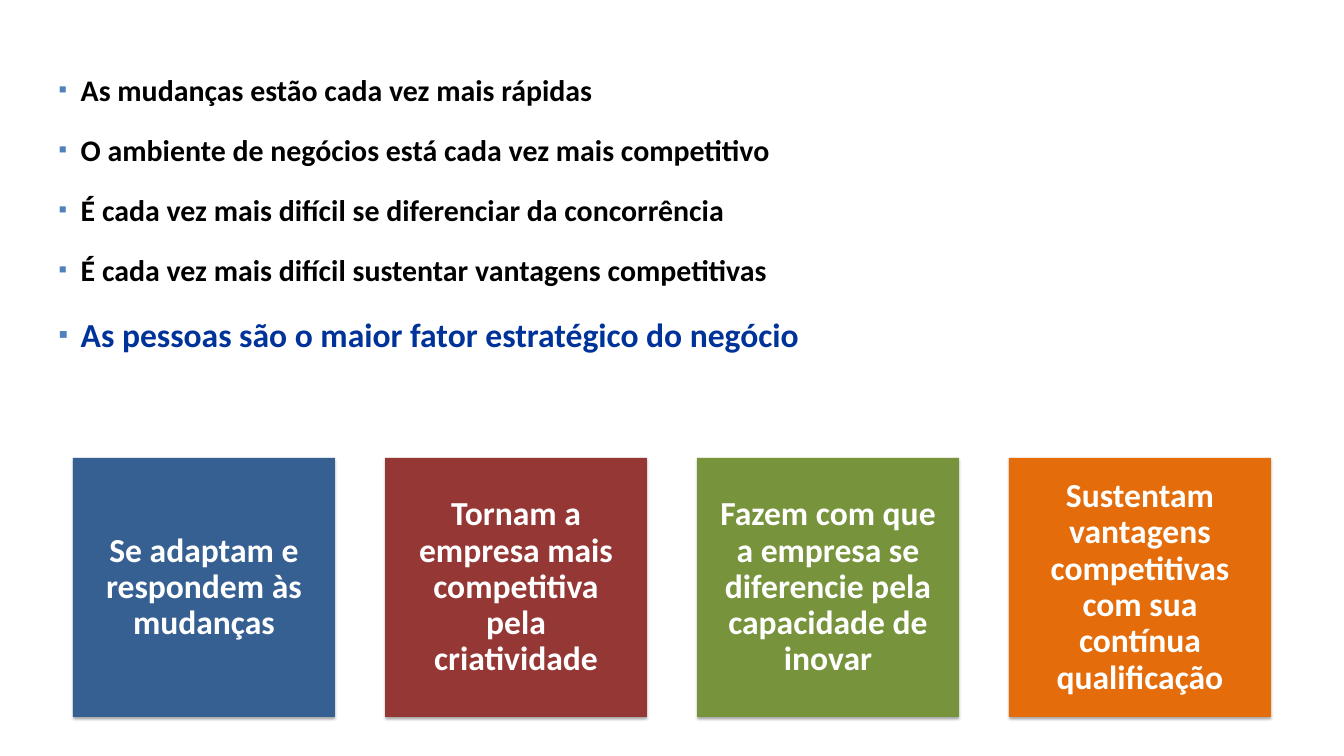
from lxml import etree
from pptx import Presentation
from pptx import util as u
from pptx.dml.color import RGBColor
from pptx.enum import shapes, text
from pptx.oxml import ns

SCALE = 13607
COLORS = {
    "text": "000000", "accent": "003399", "bullet": "4F81BD", "white": "FFFFFF",
    "blue": "376092", "red": "953735", "green": "77933C", "orange": "E46C0A",
}
STATEMENTS = [
    ("As mudanças estão cada vez mais rápidas", 32, "text"),
    ("O ambiente de negócios está cada vez mais competitivo", 32, "text"),
    ("É cada vez mais difícil se diferenciar da concorrência", 32, "text"),
    ("É cada vez mais difícil sustentar vantagens competitivas", 32, "text"),
    ("As pessoas são o maior fator estratégico do negócio", 36, "accent"),
]
TILES = [
    ("Se adaptam e respondem às mudanças", "blue"),
    ("Tornam a empresa mais competitiva pela criatividade", "red"),
    ("Fazem com que a empresa se diferencie pela capacidade de inovar", "green"),
    ("Sustentam vantagens competitivas com sua contínua qualificação", "orange"),
]
LIST_FORMAT = {"line_spacing": 1.5, "space_before": u.Pt(0), "space_after": u.Pt(6.8),
               "alignment": text.PP_ALIGN.LEFT}
TILE_FORMAT = {"line_spacing": 0.9, "space_before": u.Pt(0), "space_after": u.Pt(12.6),
               "alignment": text.PP_ALIGN.CENTER}


def add_node(parent, tag, **values):
    node = etree.SubElement(parent, ns.qn(tag))
    for name, value in values.items():
        node.set(name, str(value))
    return node


def write(para, words, size, color, layout):
    for name, value in layout.items():
        setattr(para, name, value)
    span = para.add_run()
    span.text = words
    for name, value in {"name": "Calibri", "size": u.Pt(size), "bold": True}.items():
        setattr(span.font, name, value)
    span.font.color.rgb = RGBColor.from_string(COLORS[color])


deck = Presentation()
deck.slide_width = 1344 * SCALE
deck.slide_height = 756 * SCALE
page = deck.slides.add_slide(deck.slide_layouts[1])
title = page.shapes.title.element
title.getparent().remove(title)

body = page.placeholders[1]
for name, value in {"left": 52, "top": 50, "width": 1189, "height": 402}.items():
    setattr(body, name, value * SCALE)
frame = body.text_frame
frame.word_wrap = True
frame.auto_size = text.MSO_AUTO_SIZE.NONE
frame.vertical_anchor = text.MSO_ANCHOR.TOP
for index, (words, size, color) in enumerate(STATEMENTS):
    para = frame.add_paragraph() if index else frame.paragraphs[0]
    marks = para._p.get_or_add_pPr()
    marks.set("marL", str(22 * SCALE))
    marks.set("indent", str(-22 * SCALE))
    add_node(add_node(marks, "a:buClr"), "a:srgbClr", val=COLORS["bullet"])
    add_node(marks, "a:buSzPct", val=80000)
    add_node(marks, "a:buFont", typeface="Calibri")
    add_node(marks, "a:buChar", char="▪")
    write(para, words, size, color, LIST_FORMAT)

for index, (words, color) in enumerate(TILES):
    place = [value * SCALE for value in (73 + 312 * index, 458, 262, 259)]
    tile = page.shapes.add_shape(shapes.MSO_SHAPE.RECTANGLE, *place)
    tile.fill.solid()
    tile.fill.fore_color.rgb = RGBColor.from_string(COLORS[color])
    tile.line.fill.background()
    tile.shadow.inherit = False
    effects = tile.element.spPr.find(ns.qn("a:effectLst"))
    shadow = add_node(effects, "a:outerShdw", blurRad=u.Pt(3.1), dist=u.Pt(1.8),
                      dir=5400000, rotWithShape=0)
    add_node(add_node(shadow, "a:srgbClr", val=COLORS["text"]), "a:alpha", val=35000)
    frame = tile.text_frame
    frame.word_wrap = True
    frame.vertical_anchor = text.MSO_ANCHOR.MIDDLE
    for side in ("left", "top", "right", "bottom"):
        setattr(frame, f"margin_{side}", 22 * SCALE)
    write(frame.paragraphs[0], words, 36, "white", TILE_FORMAT)

deck.save("out.pptx")
